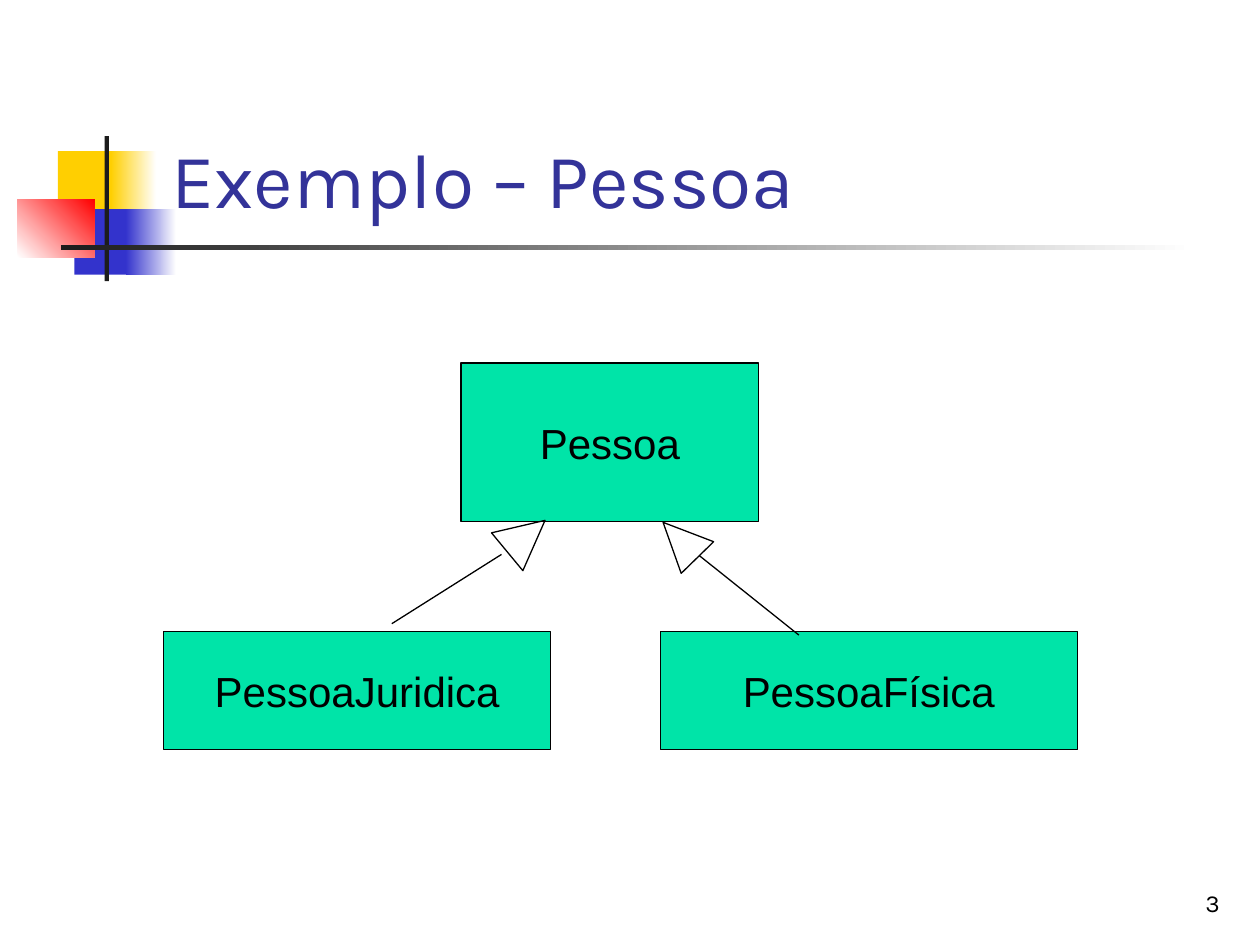
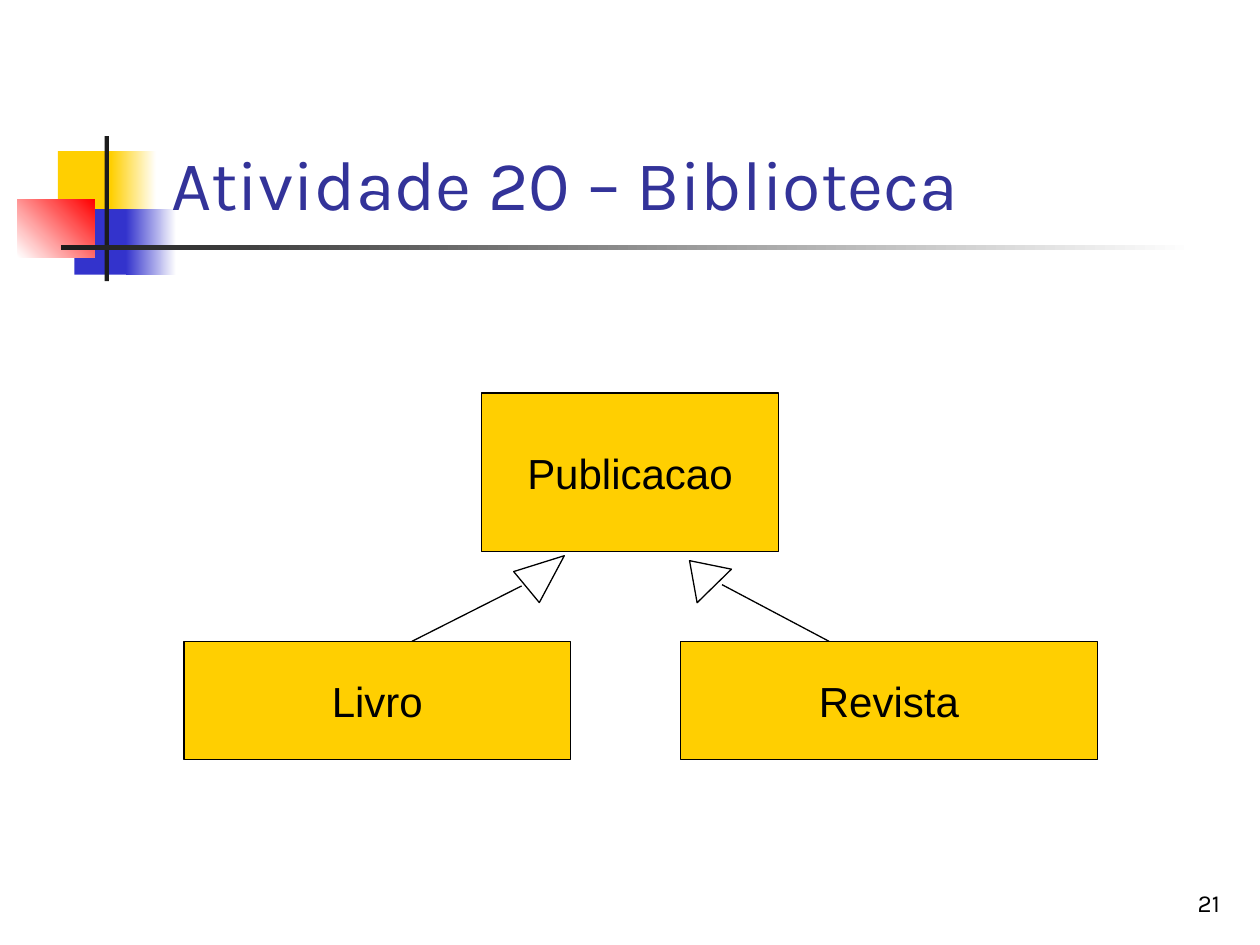
from pptx import Presentation
from pptx.dml.color import RGBColor
from pptx.enum.shapes import MSO_CONNECTOR, MSO_SHAPE
from pptx.enum.text import MSO_ANCHOR, MSO_AUTO_SIZE, PP_ALIGN
from pptx.oxml.ns import qn
from pptx.util import Pt
from lxml import etree

RECT, TRI = MSO_SHAPE.RECTANGLE, MSO_SHAPE.ISOSCELES_TRIANGLE
LINE = MSO_CONNECTOR.STRAIGHT
LEFT, MID, RIGHT = PP_ALIGN.LEFT, PP_ALIGN.CENTER, PP_ALIGN.RIGHT
BASE, CENTER = MSO_ANCHOR.BOTTOM, MSO_ANCHOR.MIDDLE

BLACK, WHITE, GOLD, BLUE = "000000", "FFFFFF", "FFCF01", "3333CC"
RED, DARK, NAVY, GREEN = "FF0000", "1C1C1C", "333399", "00E4A8"

# Title emblem and rule: place, fill colours, gradient angle
DECOR = [
    ((33.1, 86.4, 34.6, 37.4), [GOLD], 0),
    ((63.4, 86.4, 25.9, 37.4), [GOLD, WHITE], 0),
    ((42.5, 119.5, 33.1, 37.4), [BLUE], 0),
    ((72, 119.5, 28.8, 37.4), [BLUE, WHITE], 0),
    ((10.1, 113.8, 43.9, 33.1), [WHITE, RED], 45),
    ((59.8, 77.8, 2.5, 82.8), [DARK], 0),
    ((34.6, 140.2, 648, 2.5), [DARK, WHITE], 0),
]

# Class box sizes: parent, left child, right child
SIZES = [(170, 90.7), (221, 67.7), (238.3, 67.7)]
TURNS = [50.4, 315.7]

SLIDES = [
    dict(title="Exemplo – Pessoa", size=44, page="3", fill=GREEN,
         names=["Pessoa", "PessoaJuridica", "PessoaFísica"],
         spots=[(263.5, 207.4), (93.6, 360.7), (377.3, 360.7)],
         lines=[(286.6, 316.8, 223.9, 356.4), (399.6, 317.5, 456.5, 362.9)],
         heads=[(286.6, 292.3, 28.1, 28.1), (375.8, 294.5, 25.9, 28.1)]),
    dict(title="Atividade 20 – Biblioteca", size=40, page="21", fill=GOLD,
         names=["Publicacao", "Livro", "Revista"],
         spots=[(275, 224.6), (105.1, 366.5), (388.8, 366.5)],
         lines=[(298.1, 334.8, 235.4, 366.5), (412.6, 334.1, 473.8, 366.5)],
         heads=[(300.2, 312.5, 23, 28.1), (387.4, 317.5, 27.4, 20.2)]),
]


def color(code):
    return RGBColor.from_string(code)


def write(shape, text, font="Karla", size=14, ink=BLACK, align=LEFT,
          anchor=BASE, wrap=True):
    frame = shape.text_frame
    frame.text = text
    frame.word_wrap = wrap
    frame.auto_size = MSO_AUTO_SIZE.NONE
    frame.vertical_anchor = anchor
    par = frame.paragraphs[0]
    par.alignment = align
    par.font.name, par.font.size = font, Pt(size)
    par.font.color.rgb = color(ink)


deck = Presentation()
deck.slide_width, deck.slide_height = Pt(720), Pt(540)

for page in SLIDES:
    slide = deck.slides.add_slide(deck.slide_layouts[5])
    shapes = slide.shapes

    # Emblem and rule
    for place, fills, angle in DECOR:
        part = shapes.add_shape(RECT, *map(Pt, place))
        part.shadow.inherit = False
        part.line.fill.background()
        if len(fills) == 1:
            part.fill.solid()
            part.fill.fore_color.rgb = color(fills[0])
        else:
            part.fill.gradient()
            part.fill.gradient_angle = angle
            for stop, code in zip(part.fill.gradient_stops, fills):
                stop.color.rgb = color(code)

    # Page number
    num = shapes.add_textbox(Pt(554.4), Pt(491.8), Pt(149.8), Pt(36))
    write(num, page["page"], align=RIGHT)

    # Title, in front of the emblem
    title = shapes.title
    title.left, title.top = Pt(90.7), Pt(16.6)
    title.width, title.height = Pt(613.4), Pt(115.2)
    write(title, page["title"], size=page["size"], ink=NAVY)
    title.element.getparent().append(title.element)

    # Class boxes
    for name, spot, size in zip(page["names"], page["spots"], SIZES):
        box = shapes.add_shape(RECT, *map(Pt, spot + size))
        box.shadow.inherit = False
        box.fill.solid()
        box.fill.fore_color.rgb = color(page["fill"])
        box.line.color.rgb = color(BLACK)
        box.line.width = Pt(0.75)
        write(box, name, font="Arial", size=24, align=MID,
              anchor=CENTER, wrap=False)

    # Inheritance arrows: a line and a hollow head
    for ends, place, turn in zip(page["lines"], page["heads"], TURNS):
        stem = shapes.add_connector(LINE, *map(Pt, ends))
        head = shapes.add_shape(TRI, *map(Pt, place))
        head.rotation = turn
        head.shadow.inherit = False
        head.fill.background()
        for part in (stem, head):
            part.line.color.rgb = color(BLACK)
            part.line.width = Pt(0.75)
        etree.SubElement(stem.element.spPr, qn("a:effectLst"))

deck.save("out.pptx")
